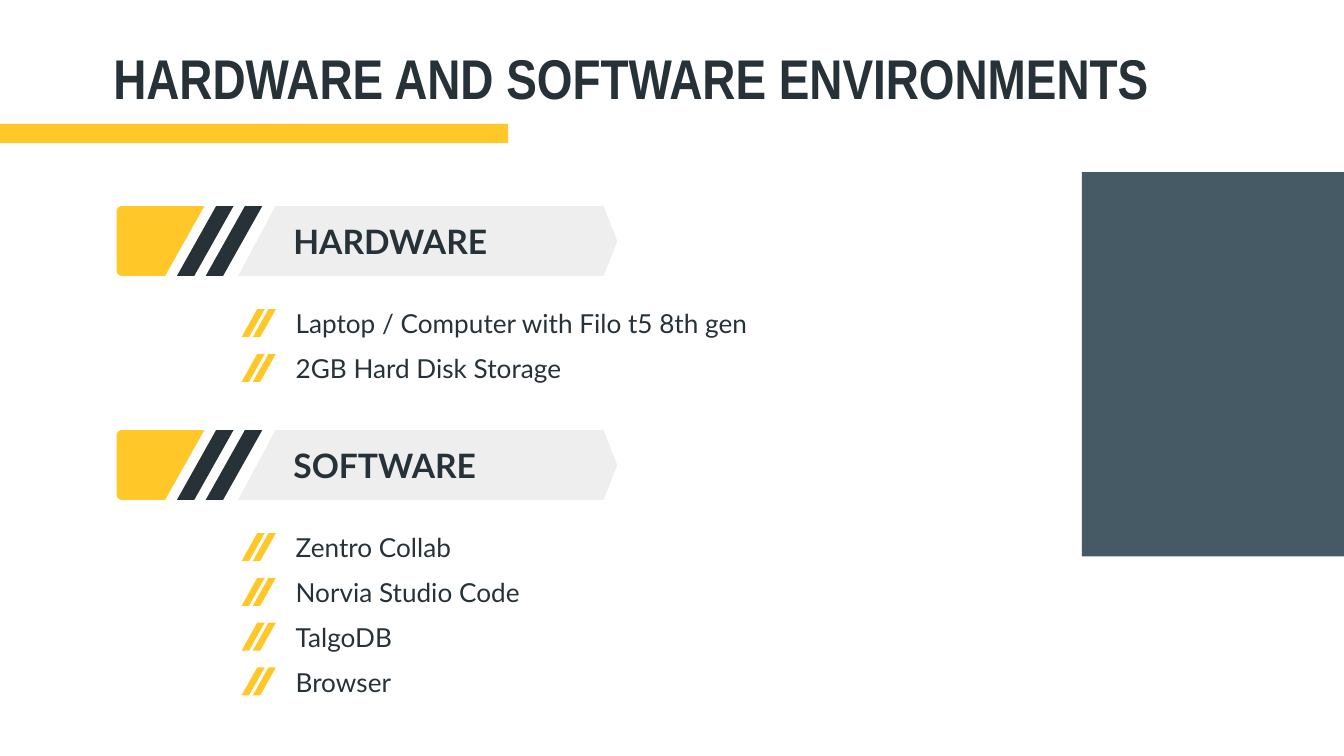
from math import cos, pi, sin

from pptx import Presentation
from pptx.dml.color import RGBColor
from pptx.enum.shapes import MSO_SHAPE
from pptx.enum.text import MSO_ANCHOR
from pptx.util import Pt

RECTANGLE = MSO_SHAPE.RECTANGLE
MIDDLE = MSO_ANCHOR.MIDDLE

TITLE = "HARDWARE AND SOFTWARE ENVIRONMENTS"
SECTIONS = [
    ("HARDWARE", ["Laptop / Computer with Filo t5 8th gen", "2GB Hard Disk Storage"]),
    ("SOFTWARE", ["Zentro Collab", "Norvia Studio Code", "TalgoDB", "Browser"]),
]
COLORS = {"yellow": "FFC727", "slate": "455A64", "ink": "263238", "panel": "EEEEEE"}
BLOCKS = [  # left, top, width, height, colour
    (0, 66.3, 272.2, 10.3, "yellow"),
    (579.6, 92.3, 140.4, 205.8, "slate"),
]

SECTION_TOP, SECTION_PITCH = 110.4, 120
BANNER_HEIGHT = 37.4
CORNER_RADIUS = 2.9
ITEM_OFFSET, ITEM_PITCH = 55.2, 24
MARK_HEIGHT = 15


def paint(shape, color):
    shape.fill.solid()
    shape.fill.fore_color.rgb = RGBColor.from_string(COLORS[color])
    shape.line.fill.background()
    shape.shadow.inherit = False


def add_block(shapes, left, top, width, height, color):
    block = shapes.add_shape(RECTANGLE, Pt(left), Pt(top), Pt(width), Pt(height))
    paint(block, color)


def add_outline(shapes, points, color):
    corners = [(Pt(x), Pt(y)) for x, y in points]
    builder = shapes.build_freeform(*corners[0])
    builder.add_line_segments(corners[1:], close=True)
    paint(builder.convert_to_shape(), color)


def add_slashes(shapes, left, top, height, slant, width, step, color):
    """Draw two parallel slashes; left is the lower left corner of the first."""
    for x in (left, left + step):
        points = [(x + slant, top), (x, top + height),
                  (x + width, top + height), (x + slant + width, top)]
        add_outline(shapes, points, color)


def add_text(shapes, text, left, top, width, height, *, size, font="Lato", bold=False):
    box = shapes.add_textbox(Pt(left), Pt(top), Pt(width), Pt(height))
    frame = box.text_frame
    frame.word_wrap = True
    frame.vertical_anchor = MIDDLE
    frame.margin_left = frame.margin_right = Pt(7.2)
    frame.margin_top = frame.margin_bottom = Pt(7.2)
    span = frame.paragraphs[0].add_run()
    span.text = text
    span.font.name = font
    span.font.size = Pt(size)
    span.font.bold = bold
    span.font.color.rgb = RGBColor.from_string(COLORS["ink"])


def arc(center_x, center_y, start, end, steps=6):
    angles = [start + (end - start) * i / steps for i in range(steps + 1)]
    return [(center_x + CORNER_RADIUS * cos(a), center_y - CORNER_RADIUS * sin(a))
            for a in angles]


def add_banner(slide, heading, top):
    bottom = top + BANNER_HEIGHT
    shapes = slide.shapes.add_group_shape().shapes
    add_outline(shapes, [(147.6, top), (127.6, bottom), (323.4, bottom),
                         (330.7, (top + bottom) / 2), (323.4, top)], "panel")
    corner_x = 62.5 + CORNER_RADIUS
    tab = [(109.5, top)]
    tab += arc(corner_x, top + CORNER_RADIUS, pi / 2, pi)
    tab += arc(corner_x, bottom - CORNER_RADIUS, pi, 3 * pi / 2)
    tab += [(88.5, bottom)]
    add_outline(shapes, tab, "yellow")
    add_slashes(shapes, 94.8, top, BANNER_HEIGHT, 21, 9.3, 15.4, "ink")
    add_text(slide.shapes, heading, 150.1, top + 0.6, 129.6, 36, size=18, bold=True)


def add_item(slide, text, top):
    add_text(slide.shapes, text, 151.3, top - 8.2, 268, 31.7, size=14)
    shapes = slide.shapes.add_group_shape().shapes
    add_slashes(shapes, 129.4, top, MARK_HEIGHT, 8.4, 4, 6, "yellow")


def main():
    deck = Presentation()
    deck.slide_width, deck.slide_height = Pt(720), Pt(405)
    slide = deck.slides.add_slide(deck.slide_layouts[6])
    for block in BLOCKS:
        add_block(slide.shapes, *block)
    add_text(slide.shapes, TITLE, 53.6, 15.8, 613, 51.1,
             size=30, font="Arial Narrow", bold=True)
    for section, (heading, items) in enumerate(SECTIONS):
        top = SECTION_TOP + section * SECTION_PITCH
        add_banner(slide, heading, top)
        for row, item in enumerate(items):
            add_item(slide, item, top + ITEM_OFFSET + row * ITEM_PITCH)
    deck.save("out.pptx")


if __name__ == "__main__":
    main()
